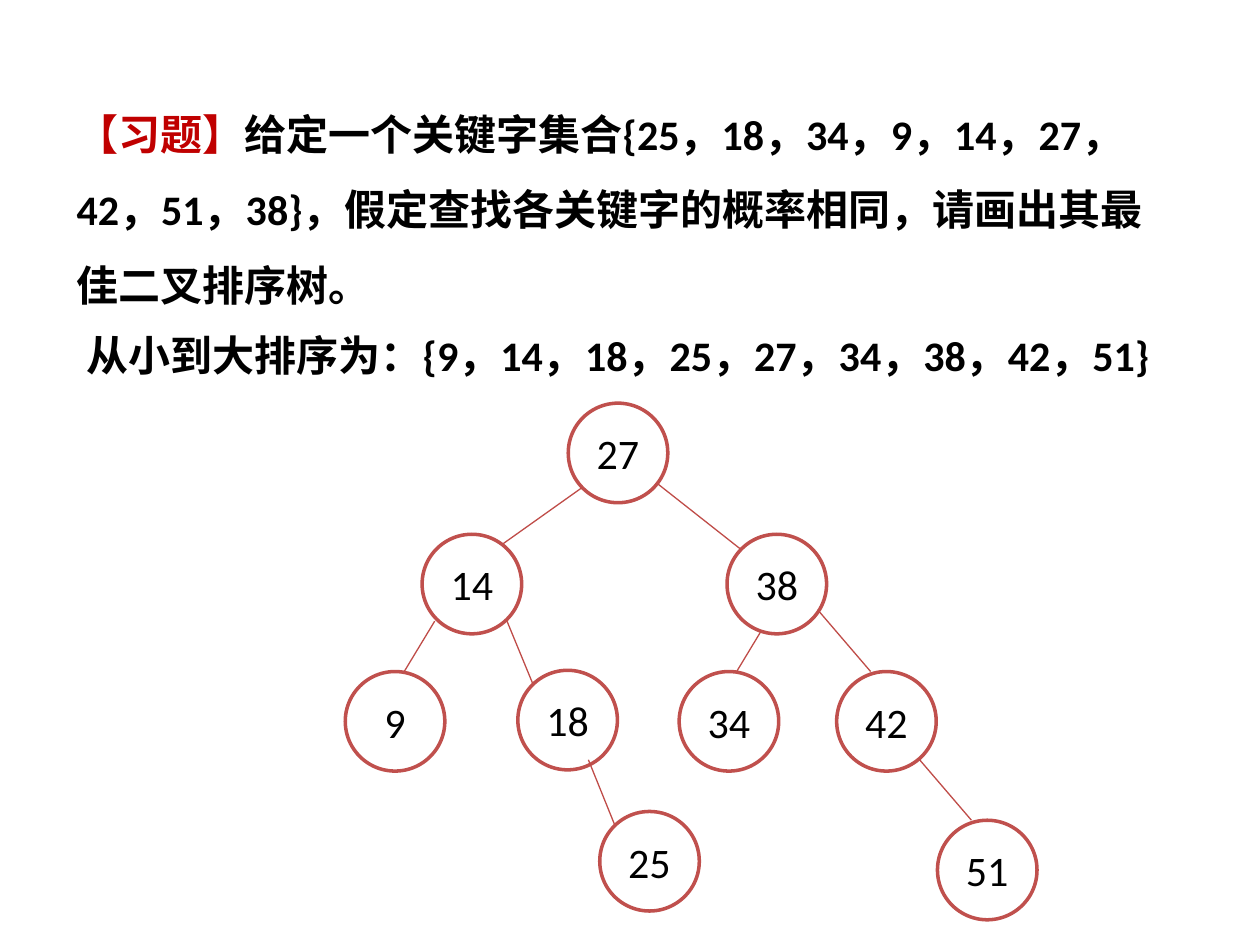
import pptx
import pptx.dml.color
import pptx.enum.shapes
import pptx.enum.text
import pptx.oxml
import pptx.util
from pptx.util import Inches

COLORS = {
    "label": "C00000",
    "ink": "000000",
    "node_fill": "FFFFFF",
    "node_line": "C0504D",
    "branch": "BF4C48",
}
FONT = "Calibri"
DIAMETER = 0.79
EXERCISE = [
    ("【习题】", "label"),
    ("给定一个关键字集合{25，18，34，9，14，27，42，51，38}，"
     "假定查找各关键字的概率相同，请画出其最佳二叉排序树。", "ink"),
]
SORTED_KEYS = [("从小到大排序为：{9，14，18，25，27，34，38，42，51}", "ink")]
TREE = [
    ("27", (1.77, 0), None),
    ("14", (0.61, 1.04), (1.88, 0.67, 1.19, 1.16)),
    ("38", (3.03, 1.04), (2.48, 0.64, 3.14, 1.16)),
    ("34", (2.65, 2.13), (3.3, 1.81, 3.04, 2.24)),
    ("42", (3.9, 2.13), (3.75, 1.64, 4.17, 2.13)),
    ("18", (1.37, 2.12), (1.28, 1.72, 1.49, 2.23)),
    ("25", (2.02, 3.24), (1.93, 2.83, 2.14, 3.35)),
    ("9", (0, 2.13), (0.71, 1.73, 0.45, 2.16)),
    ("51", (4.7, 3.31), (4.55, 2.82, 4.97, 3.31)),
]


def color(name):
    """Return the named colour of the slide."""
    return pptx.dml.color.RGBColor.from_string(COLORS[name])


def add_statement(slide, box, pieces, line_spacing=1.0):
    """Place a bold paragraph made of coloured pieces in the given box."""
    statement = slide.shapes.add_textbox(*map(Inches, box))
    frame = statement.text_frame
    frame.word_wrap = True
    frame.auto_size = pptx.enum.text.MSO_AUTO_SIZE.SHAPE_TO_FIT_TEXT
    paragraph = frame.paragraphs[0]
    paragraph.line_spacing = line_spacing
    paragraph.font.name = FONT
    paragraph.font.size = pptx.util.Pt(24)
    paragraph.font.bold = True
    for text, color_name in pieces:
        run = paragraph.add_run()
        run.text = text
        run.font.color.rgb = color(color_name)


def add_branch(slide, left, top, ends):
    """Draw a line from a parent to its child, relative to the tree's corner."""
    x1, y1, x2, y2 = ends
    branch = slide.shapes.add_connector(
        pptx.enum.shapes.MSO_CONNECTOR.STRAIGHT,
        Inches(left + x1), Inches(top + y1), Inches(left + x2), Inches(top + y2))
    branch.line.color.rgb = color("branch")
    branch.line.width = pptx.util.Pt(0.75)
    branch._element.spPr.append(pptx.oxml.parse_xml(
        '<a:effectLst xmlns:a="http://schemas.openxmlformats.org/drawingml/2006/main"/>'))


def add_node(slide, left, top, key):
    """Draw one circled key of the tree."""
    node = slide.shapes.add_shape(
        pptx.enum.shapes.MSO_SHAPE.OVAL,
        Inches(left), Inches(top), Inches(DIAMETER), Inches(DIAMETER))
    node.shadow.inherit = False
    node.fill.solid()
    node.fill.fore_color.rgb = color("node_fill")
    node.line.color.rgb = color("node_line")
    node.line.width = pptx.util.Pt(2)
    frame = node.text_frame
    frame.word_wrap = False
    frame.vertical_anchor = pptx.enum.text.MSO_ANCHOR.MIDDLE
    paragraph = frame.paragraphs[0]
    paragraph.text = key
    paragraph.alignment = pptx.enum.text.PP_ALIGN.CENTER
    paragraph.font.name = FONT
    paragraph.font.size = pptx.util.Pt(24)
    paragraph.font.color.rgb = color("ink")


def add_search_tree(slide, left, top):
    """Draw the search tree, each branch before the child it leads to."""
    for key, (x, y), branch_ends in TREE:
        if branch_ends:
            add_branch(slide, left, top, branch_ends)
        add_node(slide, left + x, top + y, key)


def main():
    """Build the exercise slide and save it."""
    presentation = pptx.Presentation()
    presentation.slide_width = Inches(10)
    presentation.slide_height = Inches(7.5)
    slide = presentation.slides.add_slide(presentation.slide_layouts[6])
    add_statement(slide, (0.51, 0.61, 8.9, 1.86), EXERCISE, line_spacing=1.5)
    add_search_tree(slide, 2.74, 3.2)
    add_statement(slide, (0.59, 2.57, 8.74, 0.5), SORTED_KEYS)
    presentation.save("out.pptx")


if __name__ == "__main__":
    main()
